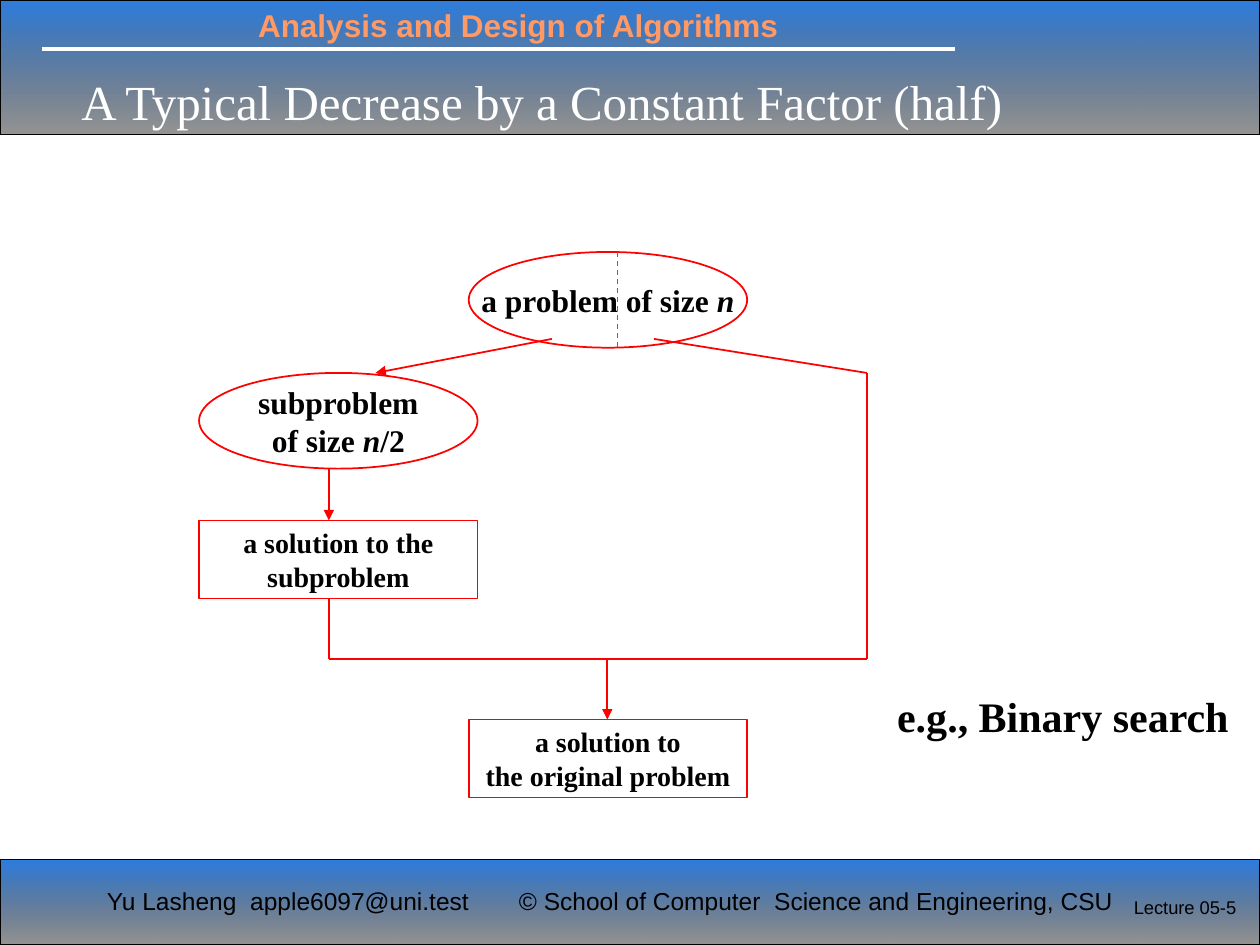
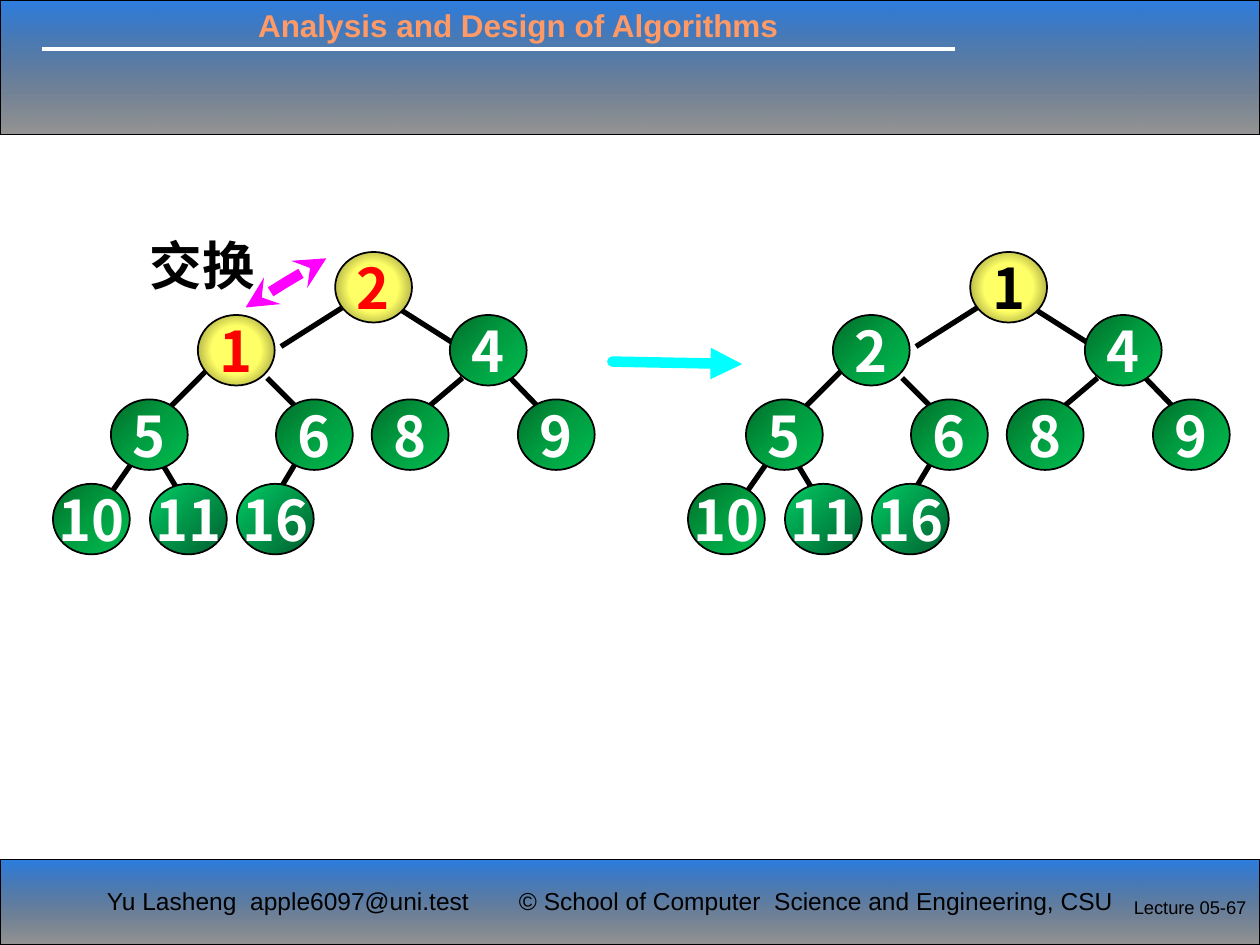
from dataclasses import dataclass

from lxml.etree import SubElement
from pptx import Presentation
from pptx.dml.color import RGBColor
from pptx.enum.dml import MSO_LINE
from pptx.enum.shapes import MSO_CONNECTOR, MSO_SHAPE
from pptx.enum.text import MSO_ANCHOR, PP_ALIGN
from pptx.oxml import parse_xml
from pptx.oxml.ns import nsdecls, qn
from pptx.util import Pt


@dataclass(frozen=True)
class Theme:
    black: str = "000000"
    white: str = "FFFFFF"
    course: str = "FF9966"
    flow: str = "FF0000"
    divider: str = "9933FF"
    swap: str = "FF00FF"
    step: str = "00FFFF"
    sans: str = "Arial"
    serif: str = "Times New Roman"
    digits: str = "Noto Sans CJK SC"
    title_size: float = 28
    course_size: float = 18
    footer_size: float = 14
    number_size: float = 10.5
    problem_size: float = 18
    solution_size: float = 16
    example_size: float = 24
    swap_size: float = 30
    key_size: float = 32
    # Gradients: stops as (position, colour, opacity), then the shading direction
    band: tuple = (((0, "0E6BDC", 88), (100, "000000", 41)), '<a:lin ang="5400000" scaled="0"/>')
    green: tuple = (((0, "006D2A", 100), (50, "009E41", 100), (100, "00BD4F", 100)),
                    '<a:lin ang="2700000" scaled="0"/>')
    dark_green: tuple = (((0, "00CC64", 100), (100, "005E2E", 100)),
                         '<a:lin ang="2700000" scaled="0"/>')
    yellow: tuple = (((47, "FFFF66", 100), (100, "76762F", 100)),
                     '<a:path path="circle"><a:fillToRect l="50000" t="50000" '
                     'r="50000" b="50000"/></a:path>')


theme = Theme()
deck = Presentation()
deck.slide_width, deck.slide_height = Pt(720), Pt(540)
# The slide is a grid of 10 columns and 7.5 rows
COL, ROW = deck.slide_width / 10, deck.slide_height / 7.5


def add_box(slide, at, text="", size=18, font=theme.sans, color=theme.black, bold=False,
            kind=None, gradient=None, outline=None, center=False):
    """Add a text box, or a preset shape if kind is given; *x* in the text is italic."""
    left, top, width, height = at
    frame = [int(v) for v in (left * COL, top * ROW, width * COL, height * ROW)]
    if kind is None:
        box = slide.shapes.add_textbox(*frame)
    else:
        box = slide.shapes.add_shape(kind, *frame)
        box.shadow.inherit = False
        box.fill.background()
        box.line.color.rgb = RGBColor.from_string(theme.black if outline is None else outline)
        box.line.width = Pt(1)
    if gradient:
        stops, direction = gradient
        marks = "".join(f'<a:gs pos="{pos * 1000}"><a:srgbClr val="{rgb}">'
                        f'<a:alpha val="{alpha * 1000}"/></a:srgbClr></a:gs>'
                        for pos, rgb, alpha in stops)
        properties = box._element.spPr
        properties.replace(properties.find(qn("a:noFill")), parse_xml(
            f'<a:gradFill {nsdecls("a")} rotWithShape="1"><a:gsLst>{marks}</a:gsLst>'
            f'{direction}</a:gradFill>'))
    if text:
        body = box.text_frame
        body.word_wrap = kind is None
        body.vertical_anchor = MSO_ANCHOR.TOP if kind is None else MSO_ANCHOR.MIDDLE
        for i, line in enumerate(text.split("\n")):
            paragraph = body.paragraphs[0] if i == 0 else body.add_paragraph()
            paragraph.alignment = PP_ALIGN.CENTER if center else PP_ALIGN.LEFT
            paragraph.font.size, paragraph.font.name = Pt(size), font
            paragraph.font.bold = bold
            paragraph.font.color.rgb = RGBColor.from_string(color)
            for j, part in enumerate(line.split("*")):
                if part:
                    run = paragraph.add_run()
                    run.text = part
                    if j % 2:
                        run.font.italic = True
    return box


def add_path(slide, points, color, width, head=None, tail=None, dash=None, cap="flat"):
    """Join two points by a connector, or more by an open freeform."""
    places = [(int(x * COL), int(y * ROW)) for x, y in points]
    if len(places) == 2:
        path = slide.shapes.add_connector(MSO_CONNECTOR.STRAIGHT, *places[0], *places[1])
    else:
        builder = slide.shapes.build_freeform(*places[0])
        builder.add_line_segments(places[1:], close=False)
        path = builder.convert_to_shape()
        path.fill.background()
    path.line.color.rgb = RGBColor.from_string(color)
    path.line.width = Pt(width)
    if dash:
        path.line.dash_style = dash
    properties = path._element.spPr
    stroke = properties.find(qn("a:ln"))
    stroke.set("cap", cap)
    for end, arrow in (("a:headEnd", head), ("a:tailEnd", tail)):
        if arrow:
            SubElement(stroke, qn(end)).set("type", arrow)
    SubElement(properties, qn("a:effectLst"))


# Bands, course name and footer on every slide
slides = []
for lecture in ("Lecture 05-5", "Lecture 05-67"):
    slide = deck.slides.add_slide(deck.slide_layouts[6])
    for top, height in ((0, 1.07), (6.82, 0.68)):
        band = add_box(slide, (0, top, 10, height), kind=MSO_SHAPE.RECTANGLE, gradient=theme.band)
        band.line.width = Pt(0.75)
    add_path(slide, [(0.33, 0.39), (7.58, 0.39)], theme.white, 2.25)
    add_box(slide, (1.95, 0, 5, 0.4), "Analysis and Design of Algorithms",
            theme.course_size, color=theme.course, bold=True)
    add_box(slide, (0.75, 6.98, 3.25, 0.34), "Yu Lasheng  apple6097@uni.test", theme.footer_size)
    add_box(slide, (4.02, 6.98, 5.12, 0.34),
            "© School of Computer  Science and Engineering, CSU", theme.footer_size)
    add_box(slide, (8.9, 7.06, 1.38, 0.5), lecture, theme.number_size)
    slides.append(slide)
halving, heap = slides

# Slide 1: decrease by half
title = add_box(halving, (0.04, 0.49, 8.52, 1.05),
                "A Typical Decrease by a Constant Factor (half)", theme.title_size,
                theme.serif, theme.white, center=True)
title.text_frame.margin_top = int(0.08 * ROW)

LEFT, MIDDLE, BOX_W = 1.58, 3.72, 2.21
OVAL_H, RECT_H = 0.76, 0.62
stages = [
    (LEFT, 2.96, OVAL_H, MSO_SHAPE.OVAL, theme.problem_size, "subproblem\nof size *n*/2"),
    (LEFT, 4.13, RECT_H, MSO_SHAPE.RECTANGLE, theme.solution_size,
     "a solution to the\nsubproblem"),
    (MIDDLE, 5.71, RECT_H, MSO_SHAPE.RECTANGLE, theme.solution_size,
     "a solution to\nthe original problem"),
    (MIDDLE, 2, OVAL_H, MSO_SHAPE.OVAL, theme.problem_size, "a problem of size *n*"),
]
for left, top, height, kind, size, text in stages:
    add_box(halving, (left, top, BOX_W, height), text, size, theme.serif, bold=True,
            kind=kind, outline=theme.flow, center=True)

DOWN_X, RETURN_X, JOIN_X, JOIN_Y = 2.61, 6.88, 4.82, 5.23
flows = [
    ((4.38, 2.69), (2.98, 2.96), "triangle"),
    ((5.19, 2.69), (RETURN_X, 2.96), None),
    ((DOWN_X, 3.72), (DOWN_X, 4.13), "triangle"),
    ((DOWN_X, 4.75), (DOWN_X, JOIN_Y), None),
    ((RETURN_X, 2.96), (RETURN_X, JOIN_Y), None),
    ((DOWN_X, JOIN_Y), (RETURN_X, JOIN_Y), None),
    ((JOIN_X, JOIN_Y), (JOIN_X, 5.71), "triangle"),
]
for start, end, arrow in flows:
    add_path(halving, [start, end], theme.flow, 1, tail=arrow)
add_path(halving, [(4.9, 2), (4.9, 2.76)], theme.divider, 0.75, dash=MSO_LINE.DASH)

example = add_box(halving, (6.52, 5.51, 3.45, 0.42), "e.g., Binary search",
                  theme.example_size, theme.serif, bold=True)
example.text_frame.margin_left = int(0.6 * COL)
example.text_frame.paragraphs[0].line_spacing = 0.8

# Slide 2: swapping the root of a heap
add_box(heap, (1.09, 1.8, 1.26, 0.6), "交换", theme.swap_size, bold=True)
add_path(heap, [(4.86, 2.87), (5.89, 2.89)], theme.step, 6, tail="triangle", cap="rnd")
add_path(heap, [(1.95, 2.44), (2.27, 2.24), (2.59, 2.05)], theme.swap, 6,
         head="stealth", tail="stealth")

NODE_W, NODE_H, TREE_GAP = 0.61, 0.56, 5.04
LEVELS = (2, 2.5, 3.17, 3.84)
branches = [
    ((2.23, 2.75), (2.72, 2.44)), ((3.15, 2.44), (3.64, 2.75)),
    ((4.05, 3), (4.35, 3.31)), ((1.05, 3.67), (0.82, 4)),
    ((1.43, 3.92), (1.28, 3.67)), ((3.67, 3), (3.28, 3.33)),
    ((2.12, 3), (2.43, 3.31)), ((1.66, 2.92), (1.35, 3.23)),
    ((2.35, 3.67), (2.2, 3.92)),
]
# Left edge, level and shade of each node, in heap order
nodes = [
    (2.66, 0, theme.yellow), (1.57, 1, theme.green), (3.57, 1, theme.green),
    (0.88, 2, theme.green), (2.19, 2, theme.green), (2.95, 2, theme.green),
    (4.11, 2, theme.green), (0.42, 3, theme.green), (1.19, 3, theme.dark_green),
    (1.88, 3, theme.dark_green),
]
rest = [4, 5, 6, 8, 9, 10, 11, 16]
# Keys in heap order, and the colours of the highlighted keys
trees = [([2, 1] + rest, {2: theme.flow, 1: theme.flow}), ([1, 2] + rest, {1: theme.black})]
for number, (keys, highlights) in enumerate(trees):
    shift = number * TREE_GAP
    for (x1, y1), (x2, y2) in branches:
        add_path(heap, [(x1 + shift, y1), (x2 + shift, y2)], theme.black, 3)
    for key, (left, level, shade) in zip(keys, nodes):
        add_box(heap, (left + shift, LEVELS[level], NODE_W, NODE_H), str(key), theme.key_size,
                theme.digits, highlights.get(key, theme.white), bold=True, kind=MSO_SHAPE.OVAL,
                gradient=theme.yellow if key in highlights else shade, center=True)

deck.save("out.pptx")
